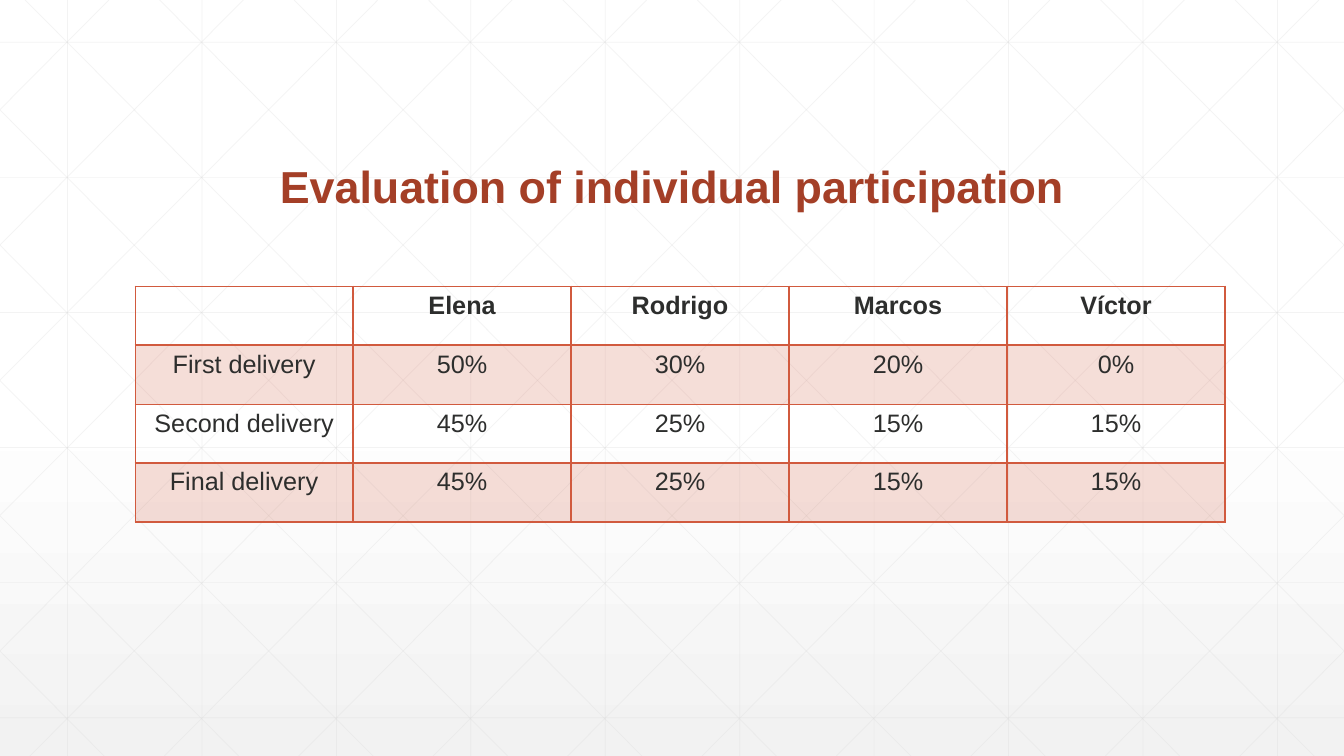
import dataclasses

import lxml.etree
import pptx
import pptx.dml.color
import pptx.enum.shapes
import pptx.enum.text
import pptx.oxml.ns
import pptx.util
from pptx.util import Inches

qn = pptx.oxml.ns.qn


@dataclasses.dataclass(frozen=True)
class Theme:
    font: str = "Arial"
    title: str = "A43F27"
    body: str = "2D2E2D"
    accent: str = "D15A3E"
    grid: str = "D9D9D9"
    backdrop: tuple = ((0, "FFFFFF"), (53, "FFFFFF"), (100, "F2F2F2"))
    title_size: int = 32
    body_size: int = 18
    grid_alpha: int = 30
    band_alpha: int = 20


THEME = Theme()
WIDTH, HEIGHT = 13.33, 7.5
GRID_STEP = 4 / 3
CENTER = pptx.enum.text.PP_ALIGN.CENTER

PARTICIPATION = [
    ["", "Elena", "Rodrigo", "Marcos", "Víctor"],
    ["First delivery", "50%", "30%", "20%", "0%"],
    ["Second delivery", "45%", "25%", "15%", "15%"],
    ["Final delivery", "45%", "25%", "15%", "15%"],
]


def rgb(color):
    return pptx.dml.color.RGBColor.from_string(color)


def add_child(parent, tag, **attributes):
    return lxml.etree.SubElement(parent, qn(tag), attributes)


def set_alpha(element, percent):
    """Make the colour inside a fill or line translucent."""
    color = element.find(".//" + qn("a:srgbClr"))
    add_child(color, "a:alpha", val=str(percent * 1000))


def set_text(frame, text, size, color, bold):
    paragraph = frame.paragraphs[0]
    paragraph.alignment = CENTER
    # Without text, the size goes to the paragraph and keeps the row height
    font = paragraph.font
    if text:
        run = paragraph.add_run()
        run.text = text
        font = run.font
    values = {"name": THEME.font, "size": pptx.util.Pt(size), "bold": bold}
    for key, value in values.items():
        setattr(font, key, value)
    font.color.rgb = rgb(color)
    return paragraph


# Backdrop: gradient and line grid
def paint_background(slide):
    fill = slide.background.fill
    fill.gradient()
    fill.gradient_angle = 270
    stops = slide.element.find(".//" + qn("a:gsLst"))
    for stop in list(stops):
        stops.remove(stop)
    for position, color in THEME.backdrop:
        stop = add_child(stops, "a:gs", pos=str(position * 1000))
        add_child(stop, "a:srgbClr", val=color)


def add_grid_line(grid, x1, y1, x2, y2):
    line = grid.shapes.add_connector(
        pptx.enum.shapes.MSO_CONNECTOR.STRAIGHT,
        Inches(x1), Inches(y1), Inches(x2), Inches(y2))
    line.line.color.rgb = rgb(THEME.grid)
    line.line.width = pptx.util.Pt(0.5)
    properties = line.element.spPr
    set_alpha(properties, THEME.grid_alpha)
    add_child(properties, "a:effectLst")


def add_grid(slide):
    grid = slide.shapes.add_group_shape()
    for column in range(10):
        x = 0.67 + column * GRID_STEP
        add_grid_line(grid, x, 0, x, HEIGHT)
    for row in range(6):
        y = 0.42 + row * 1.34
        add_grid_line(grid, 0, y, WIDTH, y)

    # Diagonals are clipped at the slide edges, then mirrored
    for step in range(-5, 10):
        top_x = 0.25 + step * GRID_STEP
        x1, x2 = max(top_x, 0), min(top_x + 7.45, WIDTH)
        y1, y2 = ((x - top_x) * HEIGHT / 7.45 for x in (x1, x2))
        add_grid_line(grid, x1, y1, x2, y2)
        add_grid_line(grid, WIDTH - x1, y1, WIDTH - x2, y2)


# Title
def add_title(slide, text):
    box = slide.shapes.add_textbox(
        Inches(1.42), Inches(1.59), Inches(10.5), Inches(1.25))
    box.text_frame.word_wrap = True
    paragraph = set_text(
        box.text_frame, text, THEME.title_size, THEME.title, True)
    paragraph.line_spacing = 0.9


# Participation table
def set_borders(cell, widths):
    properties = cell._tc.get_or_add_tcPr()
    for index, (side, points) in enumerate(widths.items()):
        width = str(int(pptx.util.Pt(points)))
        border = add_child(properties, "a:ln" + side, w=width)
        fill = add_child(border, "a:solidFill")
        add_child(fill, "a:srgbClr", val=THEME.accent)
        # Borders stand before the fill
        properties.insert(index, border)


def fill_cell(cell, banded):
    if not banded:
        cell.fill.background()
        return
    cell.fill.solid()
    cell.fill.fore_color.rgb = rgb(THEME.accent)
    set_alpha(cell._tc.tcPr, THEME.band_alpha)


def add_table(slide, rows):
    table = slide.shapes.add_table(
        len(rows), len(rows[0]),
        Inches(1.34), Inches(2.84), Inches(10.81), Inches(2.34)).table
    table.horz_banding = False
    table.first_row = False
    for row_index, values in enumerate(rows):
        header = row_index == 0
        widths = {"L": 1, "R": 1,
                  "T": 2 if row_index == 1 else 1,
                  "B": 2 if header else 1}
        for column_index, value in enumerate(values):
            cell = table.cell(row_index, column_index)
            set_text(cell.text_frame, value,
                     THEME.body_size, THEME.body, header)
            fill_cell(cell, row_index % 2 == 1)
            set_borders(cell, widths)


def main():
    deck = pptx.Presentation()
    deck.slide_width, deck.slide_height = Inches(WIDTH), Inches(HEIGHT)
    slide = deck.slides.add_slide(deck.slide_layouts[6])
    paint_background(slide)
    add_grid(slide)
    add_table(slide, PARTICIPATION)
    add_title(slide, "Evaluation of individual participation")
    deck.save("out.pptx")


if __name__ == "__main__":
    main()
